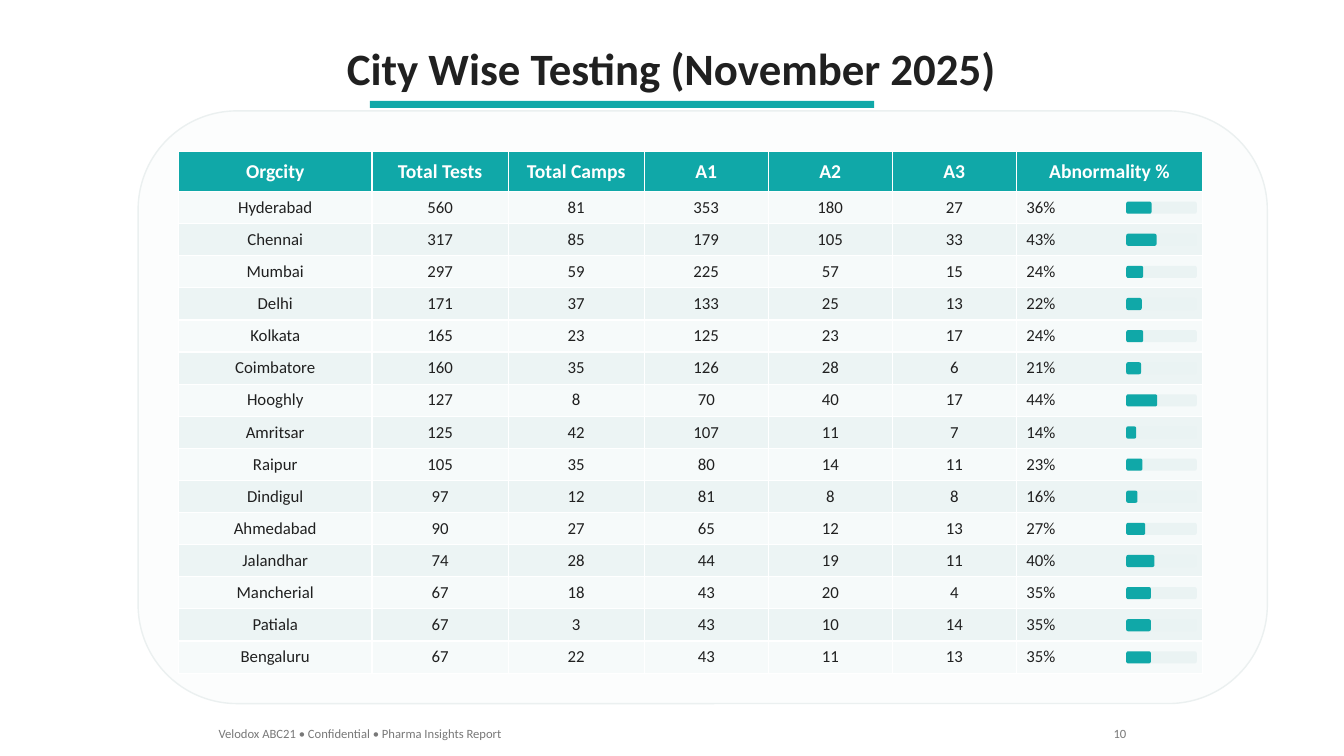
import pptx
import pptx.util
import pptx.dml.color
import pptx.enum.shapes
import pptx.enum.text

Inches = pptx.util.Inches
Pt = pptx.util.Pt
ALIGN = pptx.enum.text.PP_ALIGN
KIND = pptx.enum.shapes.MSO_SHAPE
RGB = pptx.dml.color.RGBColor.from_string
HUES = {
    "ink": "202020", "teal": "10A8A8", "white": "FFFFFF", "grey": "787878",
    "card": "FCFDFD", "edge": "EBF0F0", "track": "EAF3F3",
    "odd": "F6FAFA", "even": "ECF4F4",
}
HEADS = ["Orgcity", "Total Tests", "Total Camps", "A1", "A2", "A3", "Abnormality %"]
WIDTHS = [1.92, 1.35, 1.35, 1.23, 1.23, 1.23, 1.85]
# city, tests, camps, A1, A2, A3, abnormality in percent
CITIES = [
    ("Hyderabad", 560, 81, 353, 180, 27, 36),
    ("Chennai", 317, 85, 179, 105, 33, 43),
    ("Mumbai", 297, 59, 225, 57, 15, 24),
    ("Delhi", 171, 37, 133, 25, 13, 22),
    ("Kolkata", 165, 23, 125, 23, 17, 24),
    ("Coimbatore", 160, 35, 126, 28, 6, 21),
    ("Hooghly", 127, 8, 70, 40, 17, 44),
    ("Amritsar", 125, 42, 107, 11, 7, 14),
    ("Raipur", 105, 35, 80, 14, 11, 23),
    ("Dindigul", 97, 12, 81, 8, 8, 16),
    ("Ahmedabad", 90, 27, 65, 12, 13, 27),
    ("Jalandhar", 74, 28, 44, 19, 11, 40),
    ("Mancherial", 67, 18, 43, 20, 4, 35),
    ("Patiala", 67, 3, 43, 10, 14, 35),
    ("Bengaluru", 67, 22, 43, 11, 13, 35),
]
HEAD_H = 0.4
TABLE_H = 5.18
ROW_H = (TABLE_H - HEAD_H) / len(CITIES)
BAR_W = 0.7


def add_run(frame, text, size, hue, align, bold=False):
    para = frame.paragraphs[0]
    para.alignment = align
    run = para.add_run()
    run.text = text
    run.font.name = "Calibri"
    run.font.size = Pt(size)
    run.font.bold = bold
    run.font.color.rgb = RGB(HUES[hue])


def add_block(kind, left, top, width, height, hue):
    """Add a flat shape with a fill and no line."""
    block = slide.shapes.add_shape(
        kind, Inches(left), Inches(top), Inches(width), Inches(height))
    block.shadow.inherit = False
    block.fill.solid()
    block.fill.fore_color.rgb = RGB(HUES[hue])
    block.line.fill.background()
    return block


deck = pptx.Presentation()
deck.slide_width = Inches(13.33)
deck.slide_height = Inches(7.5)
slide = deck.slides.add_slide(deck.slide_layouts[6])

# Title, rule and card
labels = [
    (3.31, 0.35, 6.7, 0.64, "City Wise Testing (November 2025)", 32, "ink", ALIGN.CENTER, True),
    (2.07, 7.15, 3.05, 0.25, "Velodox ABC21 • Confidential • Pharma Insights Report",
     9, "grey", ALIGN.LEFT, False),
    (10.94, 7.15, 0.33, 0.25, "10", 9, "grey", ALIGN.RIGHT, False),
]
for left, top, width, height, text, size, hue, align, bold in labels:
    box = slide.shapes.add_textbox(Inches(left), Inches(top), Inches(width), Inches(height))
    box.text_frame.word_wrap = False
    box.text_frame.auto_size = pptx.enum.text.MSO_AUTO_SIZE.SHAPE_TO_FIT_TEXT
    add_run(box.text_frame, text, size, hue, align, bold)

add_block(KIND.RECTANGLE, 3.67, 1, 5, 0.07, "teal")
card = add_block(KIND.ROUNDED_RECTANGLE, 1.37, 1.1, 11.2, 5.88, "card")
card.line.color.rgb = RGB(HUES["edge"])
card.line.width = Pt(1)

# City table
table = slide.shapes.add_table(
    len(CITIES) + 1, len(HEADS), Inches(1.77), Inches(1.5),
    Inches(sum(WIDTHS)), Inches(TABLE_H)).table
for col, width in zip(table.columns, WIDTHS):
    col.width = Inches(width)

for r, values in enumerate([HEADS] + CITIES):
    head = r == 0
    table.rows[r].height = Inches(HEAD_H if head else ROW_H)
    band = "teal" if head else "odd" if r % 2 else "even"
    for c, value in enumerate(values):
        share = c == len(HEADS) - 1 and not head
        cell = table.cell(r, c)
        cell.fill.solid()
        cell.fill.fore_color.rgb = RGB(HUES[band])
        cell.vertical_anchor = pptx.enum.text.MSO_ANCHOR.MIDDLE
        add_run(cell.text_frame, f"{value}%" if share else str(value),
                14 if head else 12, "white" if head else "ink",
                ALIGN.LEFT if share else ALIGN.CENTER, head)

# Abnormality bars
for i, city in enumerate(CITIES):
    top = 2 + i * ROW_H
    for width, hue in [(BAR_W, "track"), (BAR_W * city[-1] / 100, "teal")]:
        add_block(KIND.ROUNDED_RECTANGLE, 11.17, top, width, 0.12, hue)

deck.save("out.pptx")
